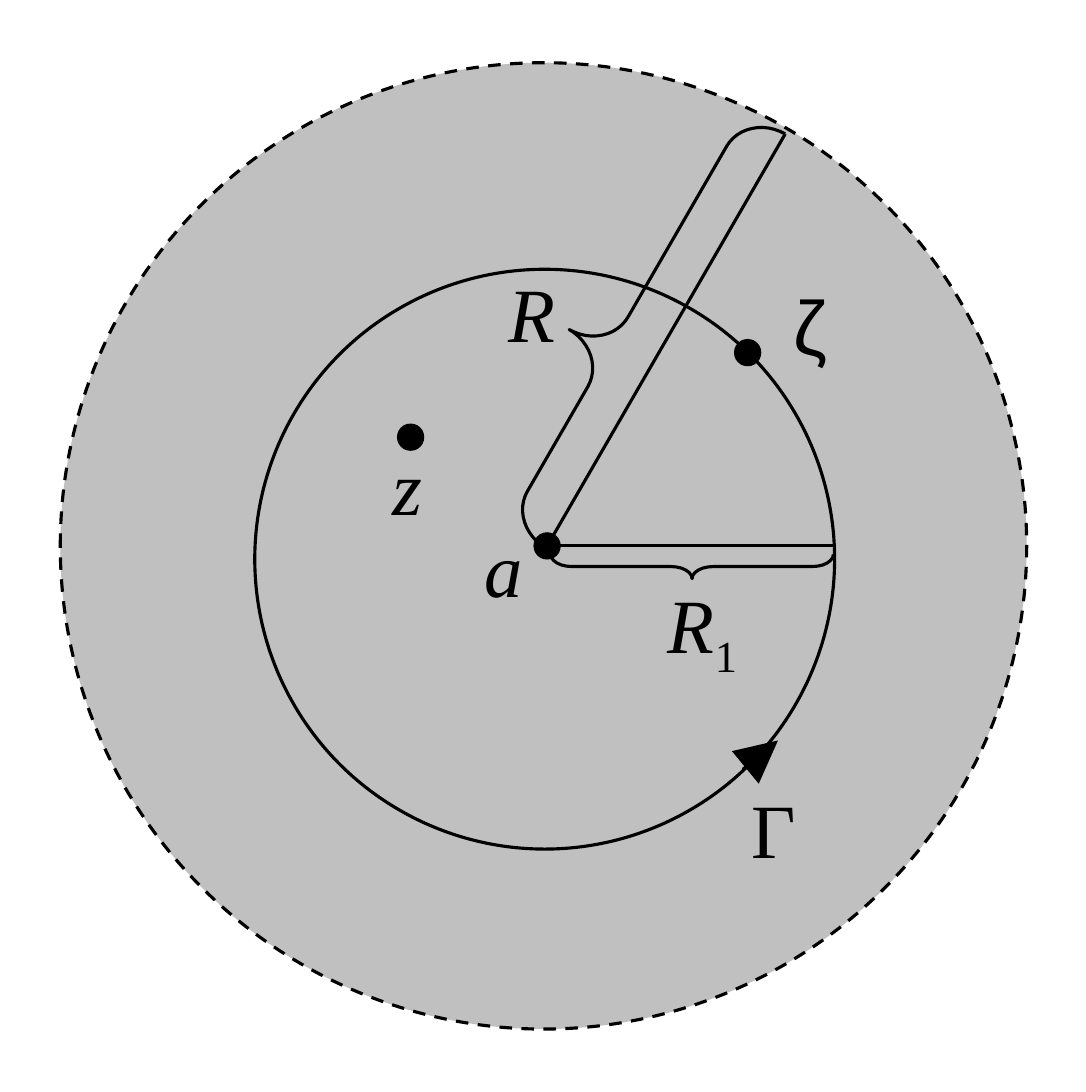
from lxml.etree import SubElement
from pptx import Presentation
from pptx.dml.color import RGBColor
from pptx.enum.dml import MSO_LINE
from pptx.enum.shapes import MSO_CONNECTOR, MSO_SHAPE as SHAPE
from pptx.enum.text import MSO_AUTO_SIZE
from pptx.oxml.ns import qn
from pptx.util import Cm, Pt

COLORS = {"disk": "C0C0C0", "ink": "000000"}
SERIF = {"name": "Times New Roman", "size": Pt(18), "italic": False}
MATH = {**SERIF, "italic": True}
SANS = {**SERIF, "name": "Arial"}


def rgb(key):
    """Return the named colour."""
    return RGBColor.from_string(COLORS[key])


def style_line(sp):
    """Give a shape or connector the thin black line."""
    sp.line.color.rgb = rgb("ink")
    sp.line.width = Pt(0.75)


def add_shape(slide, kind, center, width, height, fill=None):
    """Add a preset shape around its centre."""
    x, y = center
    sp = slide.shapes.add_shape(kind, Cm(x - width / 2), Cm(y - height / 2),
                                Cm(width), Cm(height))
    sp.shadow.inherit = False
    if fill:
        sp.fill.solid()
        sp.fill.fore_color.rgb = rgb(fill)
    else:
        sp.fill.background()
    style_line(sp)
    return sp


def add_line(slide, start, end, arrow=False):
    """Add a straight line, optionally with a large arrowhead at its end."""
    cn = slide.shapes.add_connector(MSO_CONNECTOR.STRAIGHT,
                                    *(Cm(v) for v in (*start, *end)))
    style_line(cn)
    if arrow:
        ln = cn._element.spPr.find(qn("a:ln"))
        SubElement(ln, qn("a:tailEnd"), type="triangle", w="lg", len="lg")
    SubElement(cn._element.spPr, qn("a:effectLst"))


def add_brace(slide, center, width, height, rotation, curve, cusp):
    """Add a rotated brace with its curve and cusp proportions."""
    sp = add_shape(slide, SHAPE.LEFT_BRACE, center, width, height)
    sp.rotation = rotation
    sp.adjustments[0] = curve
    sp.adjustments[1] = cusp


def add_label(slide, left, top, width, text, fmt, subscript=""):
    """Add a one-line label with an optional subscript."""
    box = slide.shapes.add_textbox(Cm(left), Cm(top), Cm(width), Cm(1.02))
    tf = box.text_frame
    tf.word_wrap = False
    tf.auto_size = MSO_AUTO_SIZE.SHAPE_TO_FIT_TEXT
    p = tf.paragraphs[0]
    runs = [(text, fmt)]
    if subscript:
        runs.append((subscript, SERIF))
    for content, values in runs:
        r = p.add_run()
        r.text = content
        for name, value in values.items():
            setattr(r.font, name, value)
        r.font.color.rgb = rgb("ink")
    if subscript:
        r.font._element.set("baseline", "-25000")


def draw_convergence_disk(slide, left, top, size):
    """Draw the disk, contour, radii, points and labels in a square box."""
    cx, cy = left + size / 2, top + size / 2

    def at(dx, dy):
        """Return the point at an offset from the disk centre."""
        return cx + dx, cy + dy

    disk = add_shape(slide, SHAPE.OVAL, at(0, 0), size, size, "disk")
    disk.line.dash_style = MSO_LINE.DASH
    add_shape(slide, SHAPE.OVAL, at(0.01, 0.11), 4.8, 4.8)
    add_line(slide, at(1.65, 1.85), at(1.94, 1.61), arrow=True)

    center = at(0.03, 0)
    for rim in ((2, -3.41), (2.4, 0)):
        add_line(slide, center, at(*rim))
    add_brace(slide, at(0.69, -1.88), 0.74, 3.96, 30, 0.45, 0.58)
    add_brace(slide, at(1.23, 0.17), 0.2, 2.34, 270, 0.88, 0.5)

    for point in (center, at(-1.1, -0.9), at(1.69, -1.6)):
        add_shape(slide, SHAPE.OVAL, point, 0.2, 0.2, "ink")

    for dx, dy, width, *label in (
        (-0.74, -0.33, 0.81, "a", MATH),
        (-1.5, -1.01, 0.74, "z", MATH),
        (-0.54, -2.44, 0.89, "R", MATH),
        (0.78, 0.13, 1.2, "R", MATH, "1"),
        (1.82, -2.34, 0.79, "ζ", SANS),
        (1.47, 1.83, 0.86, "Γ", SERIF),
    ):
        add_label(slide, *at(dx, dy), width, *label)


def main():
    """Build the slide and save it."""
    prs = Presentation()
    prs.slide_width, prs.slide_height = Cm(8.99), Cm(9.04)
    slide = prs.slides.add_slide(prs.slide_layouts[6])
    draw_convergence_disk(slide, 0.5, 0.52, 8)
    prs.save("out.pptx")


if __name__ == "__main__":
    main()
